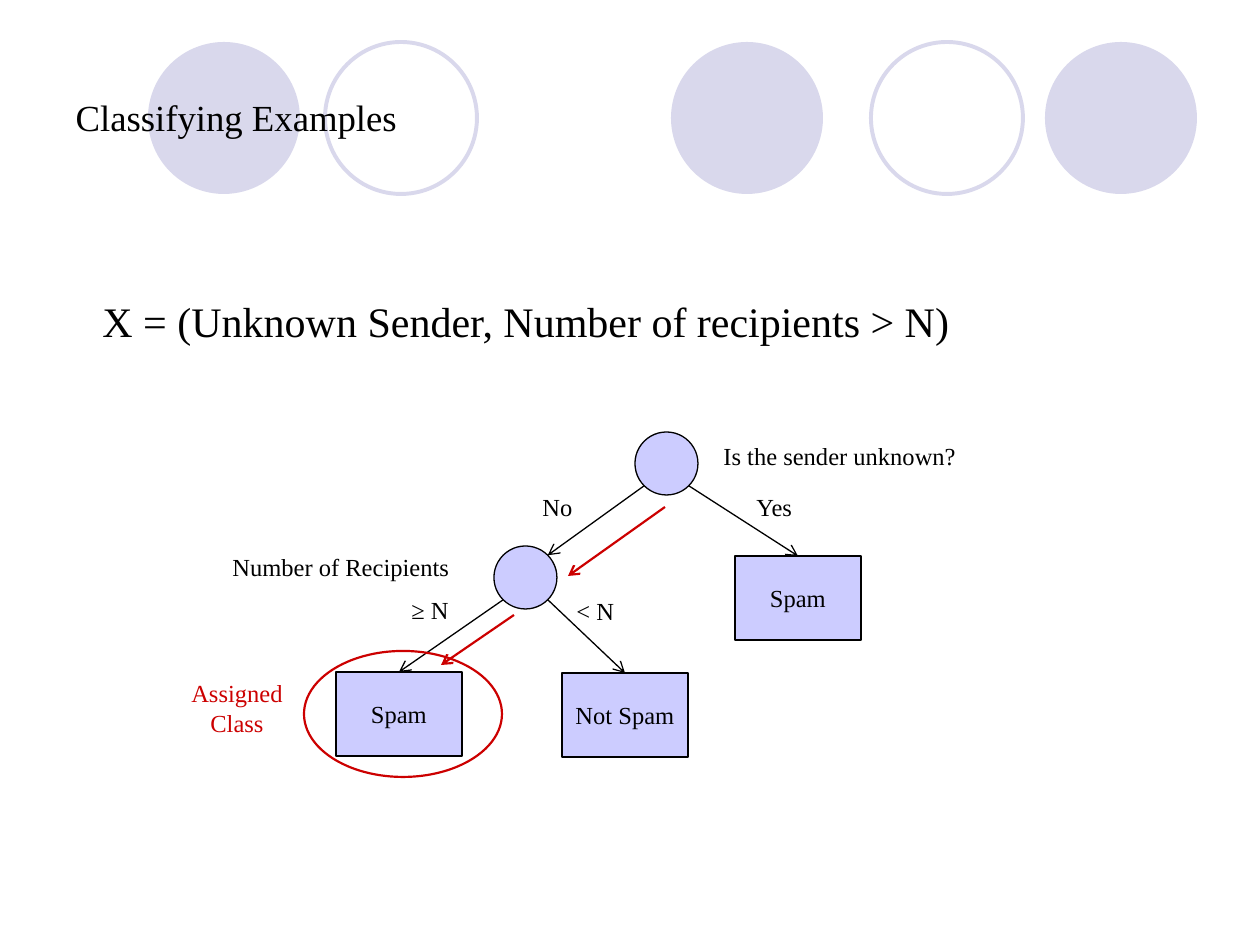
from math import sqrt

from lxml.etree import SubElement
from pptx import Presentation
from pptx.dml.color import RGBColor
from pptx.enum.shapes import MSO_CONNECTOR, MSO_SHAPE
from pptx.enum.text import MSO_ANCHOR, MSO_AUTO_SIZE, PP_ALIGN
from pptx.oxml.ns import qn
from pptx.util import Emu, Pt

PX = 914400 / 126
BLACK, RED, LILAC, NODE_FILL = "000000", "CC0000", "D9D8EC", "CCCCFF"
FONT = "Times New Roman"

TITLE = "Classifying Examples"
EXAMPLE = "X = (Unknown Sender, Number of recipients > N)"

# Header circles: left, filled
HEADER_TOP, HEADER_SIZE = 42, 152
HEADER_CIRCLES = [(671, True), (1045, True), (148, True), (871, False), (325, False)]

# Decision tree: nodes and leaves by left and top
NODE_SIZE = 63
LEAF_WIDTH, LEAF_HEIGHT = 126, 84
NODES = {"sender": (635, 432), "recipients": (494, 546)}
LEAVES = {
    "unknown": (735, 556, "Spam"),
    "few": (562, 673, "Not Spam"),
    "many": (336, 672, "Spam"),
}
# Parent, side it leaves from (-1 left, 1 right), child
BRANCHES = [
    ("sender", -1, "recipients"),
    ("sender", 1, "unknown"),
    ("recipients", -1, "many"),
    ("recipients", 1, "few"),
]
# Text, left, top, width
LABEL_HEIGHT = 43
LABELS = [
    ("Is the sender unknown?", 711, 435, 270),
    ("No", 530, 486, 66),
    ("Yes", 744, 486, 74),
    ("Number of Recipients", 220, 546, 254),
    ("< N", 564, 590, 74),
    ("≥ N", 399, 589, 74),
]

# Path taken by the example
PATH_ARROWS = [((665, 507), (568, 576)), ((514, 615), (441, 665))]
ASSIGNED_RING = (304, 651, 198, 126)
ASSIGNED_LABEL = ("Assigned\nClass", 171, 672, 132, 72)


def px(length):
    return Emu(round(length * PX))


def color(hex_string):
    return RGBColor.from_string(hex_string)


def write(shape, text, size=14, ink=BLACK, align=PP_ALIGN.LEFT,
          anchor=MSO_ANCHOR.TOP, wrap=True):
    frame = shape.text_frame
    frame.text = text
    frame.word_wrap = wrap
    frame.auto_size = MSO_AUTO_SIZE.NONE
    frame.vertical_anchor = anchor
    for paragraph in frame.paragraphs:
        paragraph.alignment = align
        for run in paragraph.runs:
            run.font.name = FONT
            run.font.size = Pt(size)
            run.font.color.rgb = color(ink)


def add_label(slide, text, left, top, width, height, **text_format):
    label = slide.shapes.add_textbox(px(left), px(top), px(width), px(height))
    write(label, text, **text_format)


def add_figure(slide, preset, left, top, width, height, fill=None, line=None, weight=0.75):
    figure = slide.shapes.add_shape(preset, px(left), px(top), px(width), px(height))
    figure.shadow.inherit = False
    if fill:
        figure.fill.solid()
        figure.fill.fore_color.rgb = color(fill)
    else:
        figure.fill.background()
    if line:
        figure.line.color.rgb = color(line)
        figure.line.width = Pt(weight)
    else:
        figure.line.fill.background()
    return figure


def add_arrow(slide, start, end, ink=BLACK, weight=0.75):
    arrow = slide.shapes.add_connector(
        MSO_CONNECTOR.STRAIGHT, *(px(value) for value in (*start, *end)))
    arrow.line.color.rgb = color(ink)
    arrow.line.width = Pt(weight)
    properties = arrow.element.spPr
    SubElement(properties.find(qn("a:ln")), qn("a:tailEnd"), type="arrow")
    SubElement(properties, qn("a:effectLst"))


def node_corner(name, side_x, side_y):
    """Point on a node's circle, on the diagonal given by the two signs."""
    left, top = NODES[name]
    radius = NODE_SIZE / 2
    reach = radius / sqrt(2)
    return left + radius + side_x * reach, top + radius + side_y * reach


def branch_end(child, side):
    if child in NODES:
        return node_corner(child, -side, -1)
    left, top, _ = LEAVES[child]
    return left + LEAF_WIDTH / 2, top


def add_header(slide):
    for left, filled in HEADER_CIRCLES:
        add_figure(slide, MSO_SHAPE.OVAL, left, HEADER_TOP, HEADER_SIZE, HEADER_SIZE,
                   fill=LILAC if filled else None,
                   line=None if filled else LILAC, weight=2.25)
    title = slide.shapes.title
    title.left, title.top, title.width, title.height = map(px, (63, 38, 1134, 158))
    write(title, TITLE, size=21, anchor=MSO_ANCHOR.MIDDLE)
    title.element.getparent().append(title.element)  # in front of the circles


def add_tree(slide):
    for left, top in NODES.values():
        add_figure(slide, MSO_SHAPE.FLOWCHART_CONNECTOR, left, top, NODE_SIZE, NODE_SIZE,
                   fill=NODE_FILL, line=BLACK)
    for left, top, verdict in LEAVES.values():
        leaf = add_figure(slide, MSO_SHAPE.FLOWCHART_PROCESS, left, top,
                          LEAF_WIDTH, LEAF_HEIGHT, fill=NODE_FILL, line=BLACK)
        write(leaf, verdict, align=PP_ALIGN.CENTER, anchor=MSO_ANCHOR.MIDDLE, wrap=False)
    for parent, side, child in BRANCHES:
        add_arrow(slide, node_corner(parent, side, 1), branch_end(child, side))
    for text, left, top, width in LABELS:
        add_label(slide, text, left, top, width, LABEL_HEIGHT)


def add_example_path(slide):
    for start, end in PATH_ARROWS:
        add_arrow(slide, start, end, ink=RED, weight=1.25)
    add_figure(slide, MSO_SHAPE.OVAL, *ASSIGNED_RING, line=RED, weight=1.25)
    add_label(slide, *ASSIGNED_LABEL, ink=RED, align=PP_ALIGN.CENTER)


def main():
    deck = Presentation()
    deck.slide_width, deck.slide_height = px(1260), px(945)
    slide = deck.slides.add_slide(deck.slide_layouts[5])
    add_header(slide)
    add_label(slide, EXAMPLE, 90, 289, 890, 63, size=24)
    add_tree(slide)
    add_example_path(slide)
    deck.save("out.pptx")


if __name__ == "__main__":
    main()
